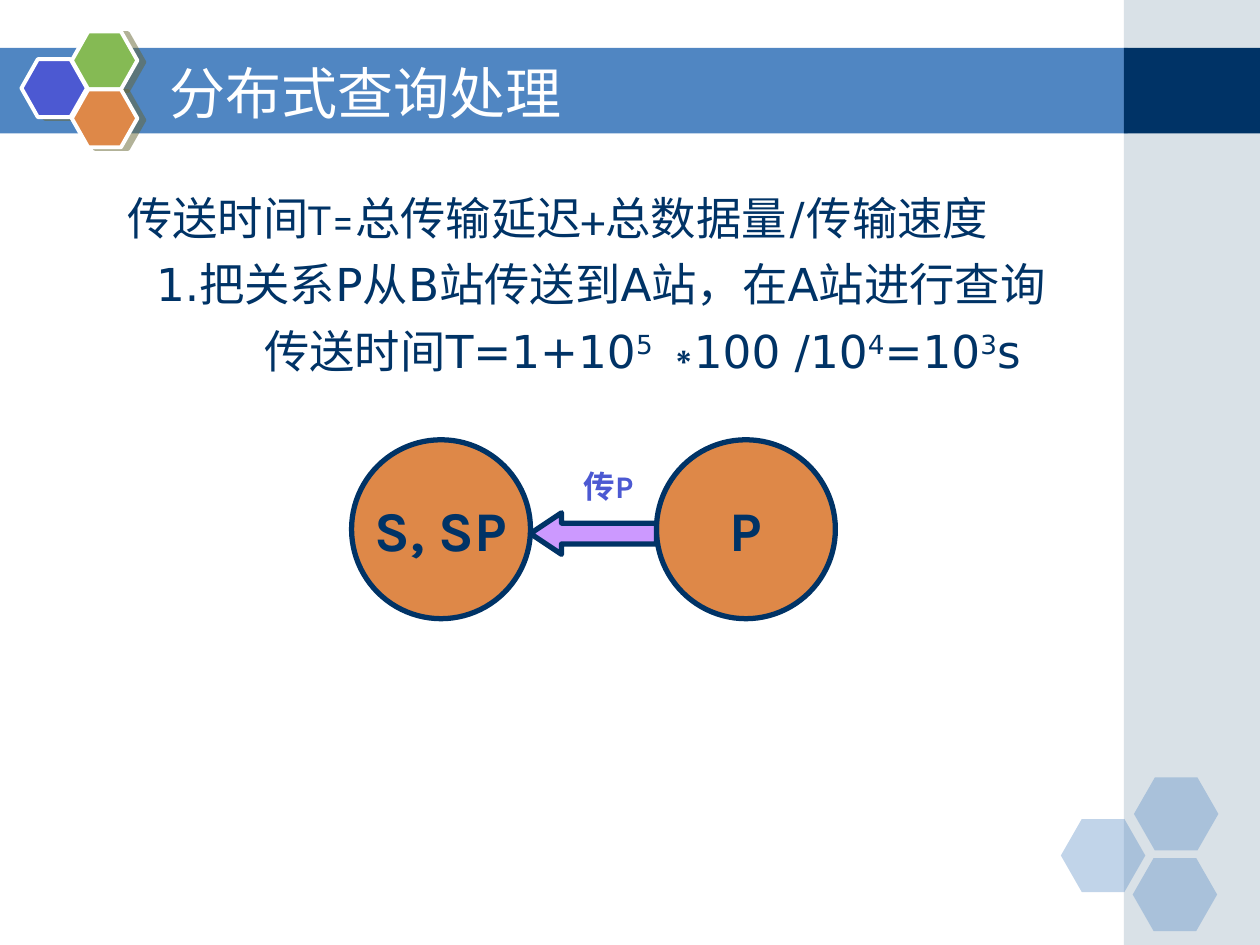
import pptx
import pptx.util
import pptx.dml.color
import pptx.enum.shapes
import pptx.enum.text
import pptx.oxml
import pptx.oxml.ns

Inches, Pt = pptx.util.Inches, pptx.util.Pt
SHAPE = pptx.enum.shapes.MSO_SHAPE
ALIGN = pptx.enum.text.PP_ALIGN
ANCHOR = pptx.enum.text.MSO_ANCHOR
qn = pptx.oxml.ns.qn
NS = pptx.oxml.ns.nsdecls("a")
COLORS = {
    "navy": "003366", "blue": "5086C2", "mist": "A0B5C4", "indigo": "4C59D2",
    "green": "85BA54", "orange": "DE8848", "lilac": "CC99FF",
    "white": "FFFFFF", "olive": "666633",
}


def rgb(name):
    """Return the named colour."""
    return pptx.dml.color.RGBColor.from_string(COLORS[name])


def add_shape(s, kind, box, fill, line=None, width=3, alpha=None, adj=()):
    """Add a flat preset shape at box (left, top, width, height in inches)."""
    sp = s.shapes.add_shape(kind, *map(Inches, box))
    sp.shadow.inherit = False
    sp.fill.solid()
    sp.fill.fore_color.rgb = rgb(fill)
    for i, value in enumerate(adj):
        sp.adjustments[i] = value
    if alpha:
        clr = sp._element.spPr.find(qn("a:solidFill"))[0]
        clr.append(pptx.oxml.parse_xml(f'<a:alpha {NS} val="{alpha * 1000}"/>'))
    if line:
        sp.line.color.rgb = rgb(line)
        sp.line.width = Pt(width)
    else:
        sp.line.fill.background()
    return sp


def add_text(s, box, anchor=ANCHOR.TOP):
    """Add an empty wrapping text box and return its text frame."""
    tf = s.shapes.add_textbox(*map(Inches, box)).text_frame
    tf.word_wrap = True
    tf.vertical_anchor = anchor
    return tf


def style_run(r, size, font, color, bold=False):
    """Set the font of a run."""
    r.font.size = Pt(size)
    r.font.name = font
    r.font.bold = bold
    r.font.color.rgb = rgb(color)


def add_shadow(sp):
    """Give a shape a hard half-transparent shadow to its right."""
    effects = sp._element.spPr.find(qn("a:effectLst"))
    effects.append(pptx.oxml.parse_xml(
        f'<a:outerShdw {NS} blurRad="0" dist="{Pt(4.1)}" dir="840000" algn="ctr" rotWithShape="0">'
        f'<a:srgbClr val="{COLORS["olive"]}"><a:alpha val="50000"/></a:srgbClr></a:outerShdw>'))


def add_background(s, x, y, w, h):
    """Draw the title band and the side column."""
    side, top, band = 1.08, 0.38, 0.68
    add_shape(s, SHAPE.RECTANGLE, (x, y + top, w - side + 0.03, band), "blue")
    add_shape(s, SHAPE.RECTANGLE, (x + w - side, y, side, h), "mist", alpha=40)
    add_shape(s, SHAPE.RECTANGLE, (x + w - side, y + top, side, band), "navy")


def add_corner_hexagons(s, x, y):
    """Draw the three pale hexagons of the lower corner."""
    for dx, dy in ((0, 0.33), (0.58, 0), (0.57, 0.64)):
        add_shape(s, SHAPE.HEXAGON, (x + dx, y + dy, 0.67, 0.58), "blue", alpha=35, adj=(0.286,))


def add_emblem(s, x, y):
    """Draw the three coloured hexagons beside the title."""
    for dx, dy, fill in ((0, 0.22, "indigo"), (0.4, 0, "green"), (0.4, 0.46, "orange")):
        add_shadow(add_shape(s, SHAPE.HEXAGON, (x + dx, y + dy, 0.52, 0.46), fill,
                             "white", 2.25, adj=(0.283,)))


def add_title(s, box, text):
    """Write the slide title."""
    tf = add_text(s, box, ANCHOR.MIDDLE)
    tf.text = text
    style_run(tf.paragraphs[0].runs[0], 32, "DejaVu Sans", "white")


def add_formulas(s, box):
    """Write the transfer time formulas, with raised exponents."""
    body = "DejaVu Sans"
    lines = [
        (0.24, ALIGN.JUSTIFY, 0.8, [("传送时间T=总传输延迟+总数据量/传输速度", "Karla", 0)]),
        (0.47, ALIGN.LEFT, 1, [("1.把关系P从B站传送到A站，在A站进行查询", body, 0)]),
        (0.26, ALIGN.CENTER, 1, [
            ("传送时间T=1+10", body, 0), ("5 ", body, 30), ("∗", "Arial", 0),
            ("100 /10", body, 0), ("4", body, 30), ("=10", body, 0),
            ("3", body, 30), ("s", body, 0)]),
    ]
    tf = add_text(s, box)
    tf.margin_right = 0
    for i, (indent, align, spacing, runs) in enumerate(lines):
        p = tf.add_paragraph() if i else tf.paragraphs[0]
        p.alignment, p.line_spacing, p.space_before = align, spacing, Pt(7)
        p._p.get_or_add_pPr().set("marL", str(Inches(indent)))
        for text, font, raised in runs:
            r = p.add_run()
            r.text = text
            style_run(r, 25.9, font, "navy")
            if raised:
                r._r.get_or_add_rPr().set("baseline", str(raised * 1000))


def add_transfer(s, x, y):
    """Draw the two sites and the arrow between them."""
    size, gap = 1.42, 1
    for dx, text in ((0, "S, SP"), (size + gap, "P")):
        sp = add_shape(s, SHAPE.OVAL, (x + dx, y, size, size), "orange", "navy")
        tf = sp.text_frame
        tf.word_wrap = False
        tf.text = text
        tf.vertical_anchor = ANCHOR.MIDDLE
        tf.paragraphs[0].alignment = ALIGN.CENTER
        style_run(tf.paragraphs[0].runs[0], 32, "Karla", "navy", True)
    add_shape(s, SHAPE.LEFT_ARROW, (x + size, y + 0.58, gap, 0.33), "lilac", "navy", adj=(0.5, 0.75))
    tf = add_text(s, (x + 1.58, y + 0.17, 0.92, 0.4))
    tf.text = "传P"
    p = tf.paragraphs[0]
    p.alignment, p.space_before = ALIGN.CENTER, Pt(11.2)
    style_run(p.runs[0], 18, "Karla", "indigo", True)


def main():
    """Build the slide and save it."""
    prs = pptx.Presentation()
    prs.slide_width, prs.slide_height = Inches(10), Inches(7.5)
    s = prs.slides.add_slide(prs.slide_layouts[6])
    add_background(s, 0, 0, 10, 7.5)
    add_corner_hexagons(s, 8.42, 6.17)
    add_emblem(s, 0.17, 0.25)
    add_title(s, (1.25, 0.42, 7.33, 0.62), "分布式查询处理")
    add_formulas(s, (0.67, 1.54, 8.5, 1.99))
    add_transfer(s, 2.79, 3.49)
    prs.save("out.pptx")


if __name__ == "__main__":
    main()
